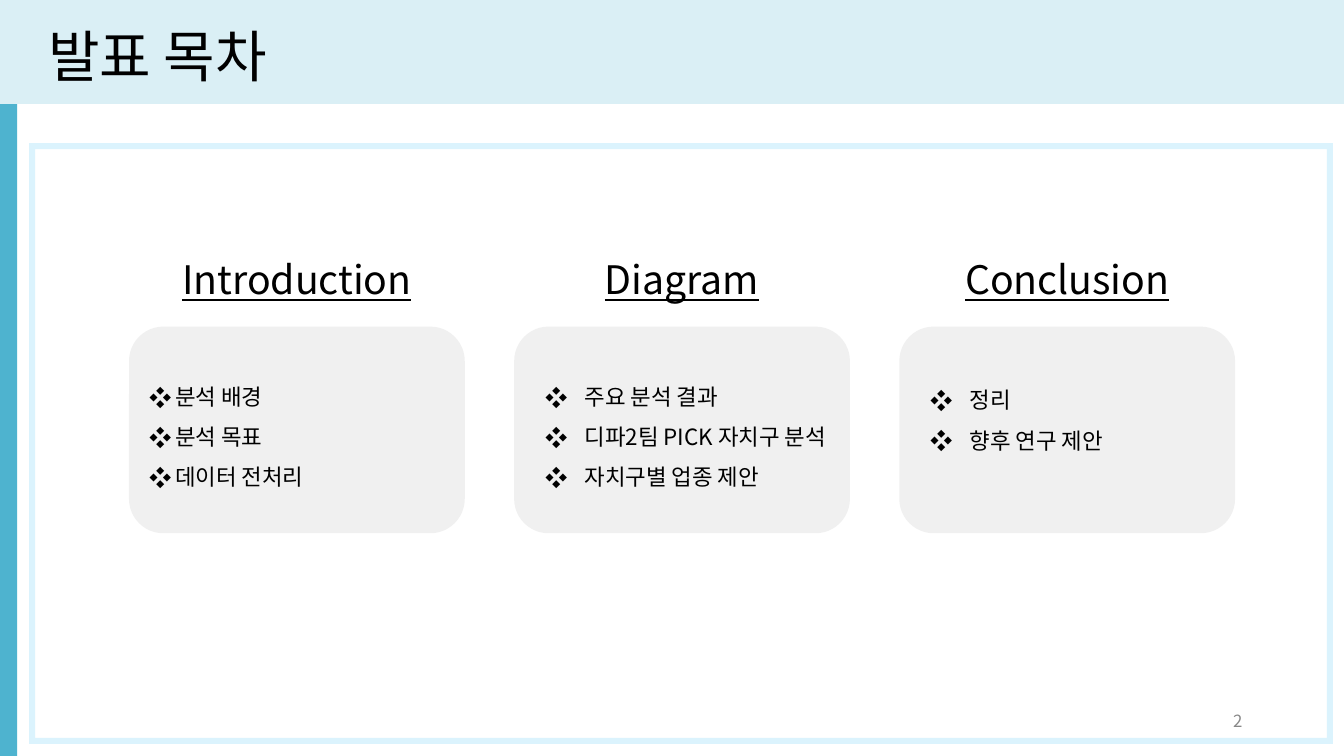
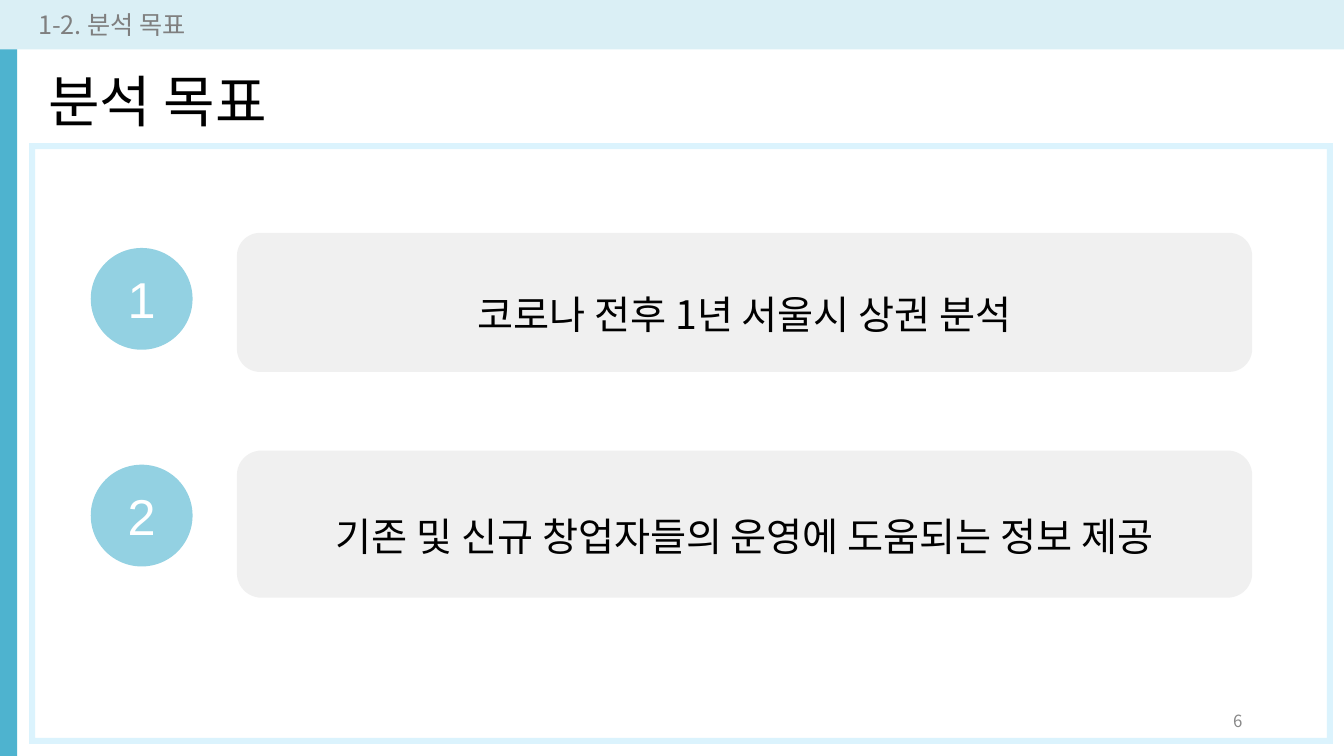
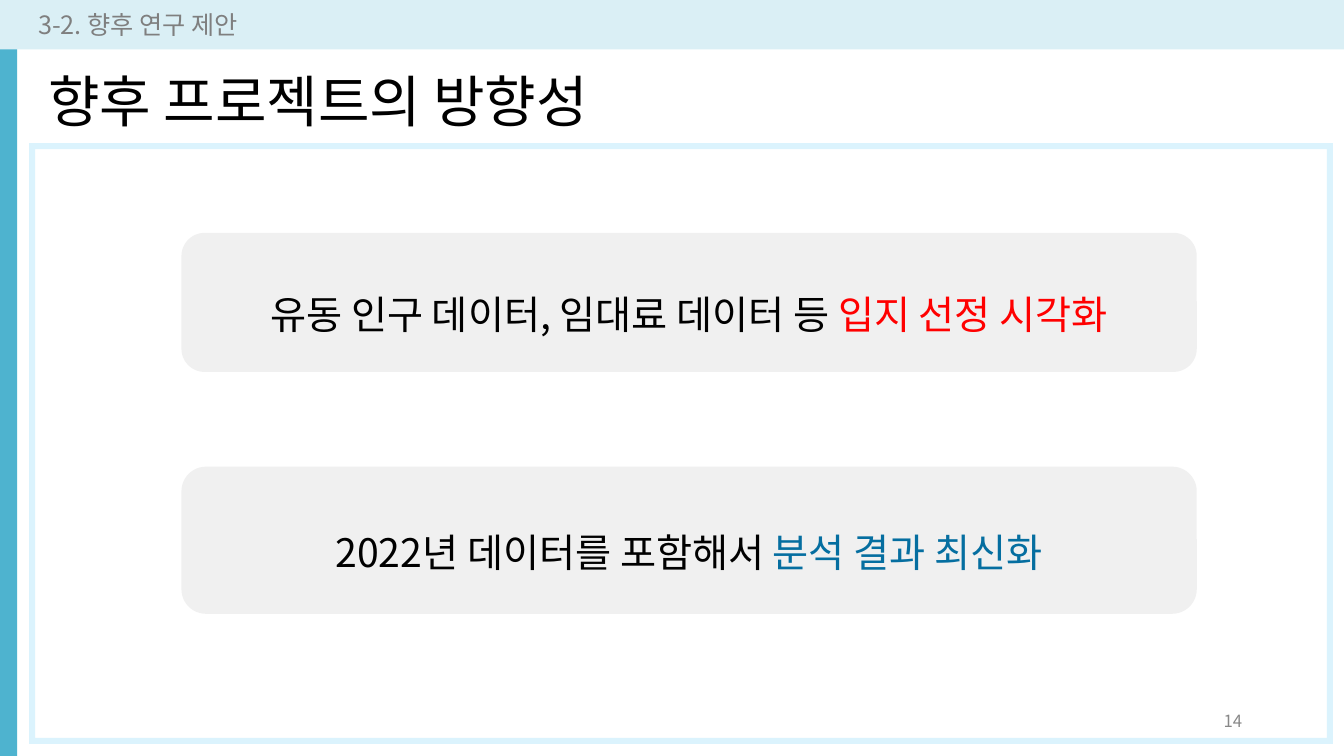
"""Build three slides of a commercial district analysis talk: agenda, goals and future work."""
from lxml import etree
from pptx import Presentation
from pptx.dml.color import RGBColor
from pptx.enum import shapes, text
from pptx.oxml import ns
from pptx.util import Inches, Pt

WIDTH, HEIGHT = 13.33, 7.5
SANS, DIGITS = "Noto Sans CJK KR", "Arial"
SIDE, BAND, FRAME, CARD, BADGE = "4EB3CF", "DAEFF5", "DBF3FD", "F0F0F0", "93D1E2"
BLACK, WHITE, CRUMB, NUMBER, RED, BLUE = "000000", "FFFFFF", "7F7F7F", "888888", "FF0000", "056EA0"
KIND, ALIGN = shapes.MSO_SHAPE, text.PP_ALIGN

AGENDA = [
    {"head": "Introduction", "items": ["분석 배경", "분석 목표", "데이터 전처리"],
     "margin": 0.26, "hang": 0.26, "bottom": 0.05},
    {"head": "Diagram", "items": ["주요 분석 결과", "디파2팀 PICK 자치구 분석", "자치구별 업종 제안"],
     "margin": 0.5, "hang": 0.39, "bottom": 0.05},
    {"head": "Conclusion", "items": ["정리", "향후 연구 제안"],
     "margin": 0.5, "hang": 0.39, "bottom": 0.38},
]
STATEMENTS = [
    {"crumb": "1-2. 분석 목표", "title": "분석 목표", "number": 6,
     "left": 2.35, "tops": (2.31, 4.47), "badges": (2.46, 4.61),
     "lines": [[("코로나 전후 1년 서울시 상권 분석", BLACK)],
               [("기존 및 신규 창업자들의 운영에 도움되는 정보 제공", BLACK)]]},
    {"crumb": "3-2. 향후 연구 제안", "title": "향후 프로젝트의 방향성", "number": 14,
     "left": 1.8, "tops": (2.31, 4.63), "badges": (),
     "lines": [[("유동 인구 데이터, 임대료 데이터 등 ", BLACK), ("입지 선정 시각화", RED)],
               [("2022년 데이터를 포함해서 ", BLACK), ("분석 결과 최신화", BLUE)]]},
]
CARD_LEFT, CARD_STEP, CARD_WIDTH = 1.28, 3.82, 3.33
STATEMENT_HEIGHTS = (1.38, 1.46)


def color(value):
    return RGBColor.from_string(value)


def add_box(page, kind, left, top, width, height, fill=None):
    box = page.shapes.add_shape(kind, *map(Inches, (left, top, width, height)))
    box.shadow.inherit = False
    box.line.fill.background()
    if fill:
        box.fill.solid()
        box.fill.fore_color.rgb = color(fill)
    else:
        box.fill.background()
    return box


def add_bullet(para, margin, hang):
    props = para._p.get_or_add_pPr()
    props.set("marL", str(Inches(margin)))
    props.set("indent", str(-Inches(hang)))
    tint = etree.SubElement(props, ns.qn("a:buClr"))
    etree.SubElement(tint, ns.qn("a:srgbClr"), val=BLACK)
    etree.SubElement(props, ns.qn("a:buFont"), typeface=SANS)
    etree.SubElement(props, ns.qn("a:buChar"), char="❖")


def write(box, lines, size, align=ALIGN.LEFT, font=SANS, spacing=None, bullet=None,
          underline=None, anchor=text.MSO_ANCHOR.MIDDLE):
    """Fill a box with lines, each a list of (words, colour) spans."""
    frame = box.text_frame
    frame.word_wrap = True
    frame.vertical_anchor = anchor
    for index, line in enumerate(lines):
        para = frame.add_paragraph() if index else frame.paragraphs[0]
        para.alignment = align
        if spacing:
            para.line_spacing = spacing
        if bullet:
            add_bullet(para, *bullet)
        para.font.size, para.font.name, para.font.underline = Pt(size), font, underline
        etree.SubElement(para.font._element, ns.qn("a:ea"), typeface=font)
        for words, tint in line:
            span = para.add_run()
            span.text = words
            span.font.color.rgb = color(tint)


def add_page(deck, title, number, crumb=None):
    page = deck.slides.add_slide(deck.slide_layouts[6])
    add_box(page, KIND.RECTANGLE, 0, 0.48, 0.17, HEIGHT - 0.48, SIDE)
    top, height = (-0.01, 0.5) if crumb else (-0.05, 1.08)
    band = add_box(page, KIND.RECTANGLE, 0, top, WIDTH, height, BAND)
    if crumb:
        band.text_frame.margin_left = Inches(0.38)
        write(band, [[(crumb, CRUMB)]], 18)
    heading = add_box(page, KIND.SNIP_2_DIAG_RECTANGLE, 0.29, 0.45 if crumb else 0.01, 9.72, 1.08)
    write(heading, [[(title, BLACK)]], 40)
    border = add_box(page, KIND.FRAME, 0.29, 1.42, 12.93, 5.96, FRAME)
    border.adjustments[0] = 0.01
    footer = page.shapes.add_textbox(*map(Inches, (9.42, 6.95, 3, 0.4)))
    write(footer, [[(str(number), NUMBER)]], 12, ALIGN.RIGHT)
    return page


def add_agenda(deck):
    page = add_page(deck, "발표 목차", 2)
    for column, part in enumerate(AGENDA):
        left = CARD_LEFT + column * CARD_STEP
        head = page.shapes.add_textbox(*map(Inches, (left, 2.48, CARD_WIDTH, 0.57)))
        write(head, [[(part["head"], BLACK)]], 28, ALIGN.CENTER, underline=True,
              anchor=text.MSO_ANCHOR.TOP)
        card = add_box(page, KIND.ROUNDED_RECTANGLE, left, 3.24, CARD_WIDTH, 2.05, CARD)
        card.text_frame.margin_bottom = Inches(part["bottom"])
        write(card, [[(item, BLACK)] for item in part["items"]], 16, spacing=1.5,
              bullet=(part["margin"], part["hang"]))


def add_statements(deck, content):
    page = add_page(deck, content["title"], content["number"], content["crumb"])
    for top, height, line in zip(content["tops"], STATEMENT_HEIGHTS, content["lines"]):
        card = add_box(page, KIND.ROUNDED_RECTANGLE, content["left"], top, 10.07, height, CARD)
        write(card, [line], 28, ALIGN.CENTER, spacing=1.5)
    for order, top in enumerate(content["badges"], 1):
        badge = add_box(page, KIND.OVAL, 0.9, top, 1.01, 1.01, BADGE)
        write(badge, [[(str(order), WHITE)]], 36, ALIGN.CENTER, DIGITS)


def main():
    deck = Presentation()
    deck.slide_width, deck.slide_height = Inches(WIDTH), Inches(HEIGHT)
    add_agenda(deck)
    for content in STATEMENTS:
        add_statements(deck, content)
    deck.save("out.pptx")


if __name__ == "__main__":
    main()
